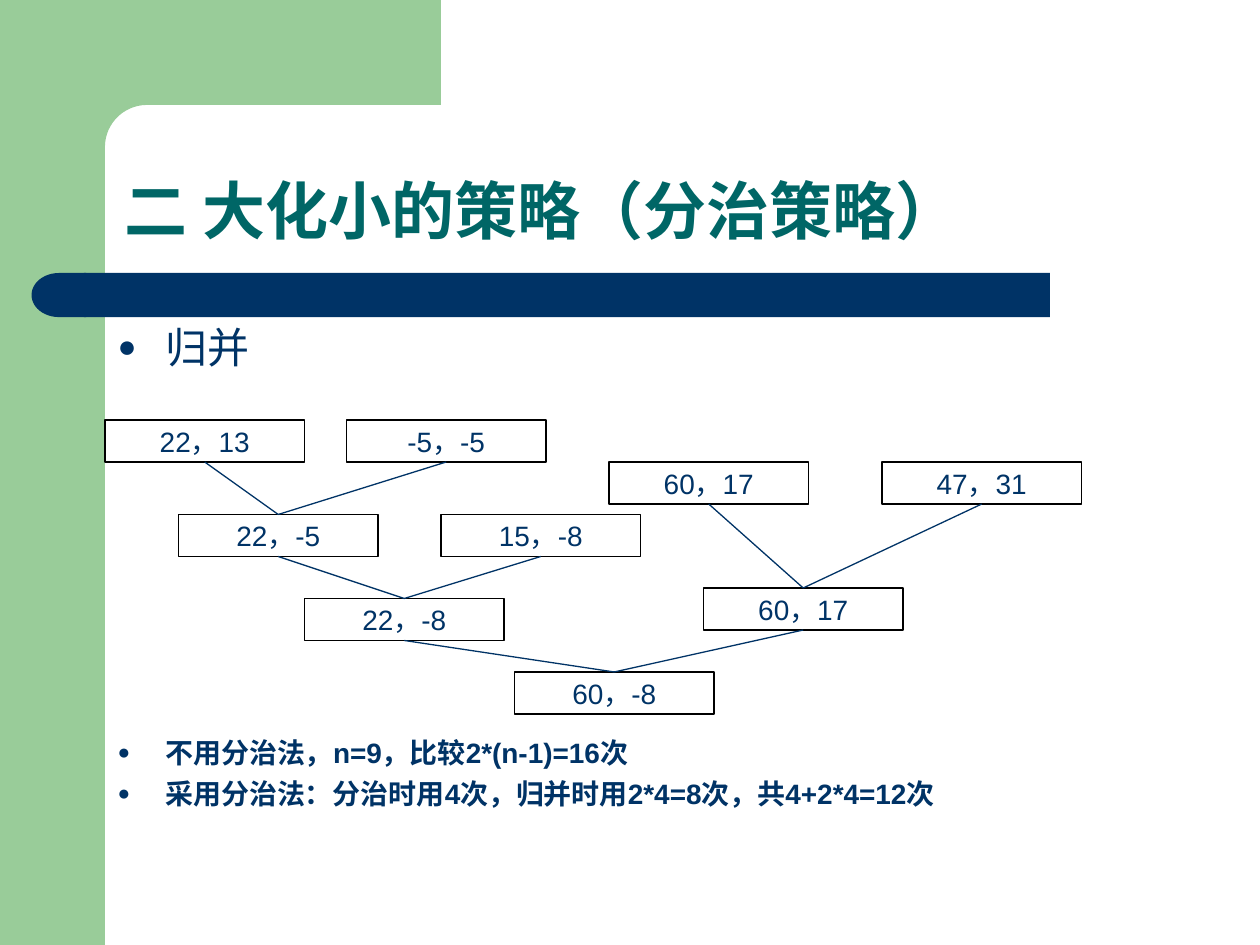
import dataclasses
import math
import typing

import lxml.etree
import pptx
import pptx.dml.color
import pptx.enum.shapes
import pptx.enum.text
import pptx.oxml.ns
import pptx.util

NAVY = pptx.dml.color.RGBColor(0x00, 0x33, 0x66)
TEAL = pptx.dml.color.RGBColor(0x00, 0x66, 0x66)
GREEN = pptx.dml.color.RGBColor(0x99, 0xCC, 0x99)
WHITE = pptx.dml.color.RGBColor(0xFF, 0xFF, 0xFF)
BLACK = pptx.dml.color.RGBColor(0x00, 0x00, 0x00)

COLUMNS, ROWS = 120, 90
CELL = pptx.util.Inches(10) // COLUMNS
NODE_WIDTH, NODE_HEIGHT = 19, 4
LINE_WIDTH = pptx.util.Pt(0.75)
KINDS = pptx.enum.shapes.MSO_SHAPE
ALIGN = pptx.enum.text.PP_ALIGN
ANCHOR = pptx.enum.text.MSO_ANCHOR


@dataclasses.dataclass(frozen=True)
class Area:
    column: float
    row: float
    columns: float
    rows: float

    def lengths(self) -> list[int]:
        return [grid(v) for v in (self.column, self.row, self.columns, self.rows)]


@dataclasses.dataclass(frozen=True)
class Node:
    label: str
    column: float
    row: float
    children: tuple["Node", ...] = ()

    def area(self) -> Area:
        return Area(self.column, self.row, NODE_WIDTH, NODE_HEIGHT)

    def middle(self) -> float:
        return self.column + NODE_WIDTH / 2


@dataclasses.dataclass(frozen=True)
class Bullet:
    text: str
    size: float
    bold: bool
    space_before: float


LEFT_HALF = Node("22，-8", 29, 57, (
    Node("22，-5", 17, 49, (Node("22，13", 10, 40), Node("-5，-5", 33, 40))),
    Node("15，-8", 42, 49),
))
RIGHT_HALF = Node("60，17", 67, 56, (Node("60，17", 58, 44), Node("47，31", 84, 44)))
MERGE_TREE = Node("60，-8", 49, 64, (LEFT_HALF, RIGHT_HALF))

BULLETS = (
    Bullet("归并", 24, False, 0),
    Bullet("不用分治法，n=9，比较2*(n-1)=16次", 16, True, 208),
    Bullet("采用分治法：分治时用4次，归并时用2*4=8次，共4+2*4=12次", 16, True, 4),
)


def grid(cells: float) -> int:
    return round(cells * CELL)


def apply(target: typing.Any, values: dict[str, typing.Any]) -> None:
    for name, value in values.items():
        setattr(target, name, value)


def add_text(para, text: str, size: float, color, bold: bool = False) -> None:
    span = para.add_run()
    span.text = text
    apply(span.font, {"name": "Arial", "size": pptx.util.Pt(size), "bold": bold})
    span.font.color.rgb = color


def paint(shape, color) -> None:
    shape.shadow.inherit = False
    shape.fill.solid()
    shape.fill.fore_color.rgb = color
    shape.line.fill.background()


def add_block(page, kind, area: Area, color):
    block = page.shapes.add_shape(kind, *area.lengths())
    paint(block, color)
    return block


def add_corner(page) -> None:
    center, radius = 14, 4
    arc = [
        (center - radius * math.sin(math.radians(angle)),
         center - radius * math.cos(math.radians(angle)))
        for angle in range(0, 91, 6)
    ]
    outline = [(42, 10), *arc, (10, 15.4), (6, 15.4), (6, 0)]
    builder = page.shapes.build_freeform(grid(42), 0)
    builder.add_line_segments([(grid(x), grid(y)) for x, y in outline], close=True)
    paint(builder.convert_to_shape(), GREEN)


def add_background(page) -> None:
    add_block(page, KINDS.RECTANGLE, Area(0, 0, 10, ROWS), GREEN)
    add_corner(page)
    add_block(page, KINDS.RECTANGLE, Area(8, 26, 92, 4.2), NAVY)
    add_block(page, KINDS.FLOWCHART_DELAY, Area(3, 26, 5.2, 4.2), NAVY).rotation = 180


def place(page, holder, area: Area, anchor):
    page.shapes.element.append(holder.element)
    apply(holder, dict(zip(("left", "top", "width", "height"), area.lengths())))
    apply(holder.text_frame, {
        "auto_size": pptx.enum.text.MSO_AUTO_SIZE.NONE,
        "word_wrap": True,
        "vertical_anchor": anchor,
    })
    return holder.text_frame


def add_title(page) -> None:
    frame = place(page, page.shapes.title, Area(10.7, 10.7, 102.5, 13.5), ANCHOR.BOTTOM)
    para = frame.paragraphs[0]
    apply(para, {"alignment": ALIGN.LEFT, "line_spacing": 0.9})
    add_text(para, "二 大化小的策略（分治策略）", 36, TEAL, True)


def set_bullet(para) -> None:
    properties = para._p.get_or_add_pPr()
    indent = pptx.util.Inches(0.38)
    properties.set("marL", str(indent))
    properties.set("indent", str(-indent))
    name = pptx.oxml.ns.qn
    color = lxml.etree.SubElement(properties, name("a:buClr"))
    lxml.etree.SubElement(color, name("a:srgbClr"), val=str(NAVY))
    lxml.etree.SubElement(properties, name("a:buSzPct"), val="75000")
    lxml.etree.SubElement(properties, name("a:buChar"), char="●")


def add_list(page) -> None:
    frame = place(page, page.placeholders[1], Area(10, 30, 101, 48.8), ANCHOR.TOP)
    for index, bullet in enumerate(BULLETS):
        para = frame.add_paragraph() if index else frame.paragraphs[0]
        set_bullet(para)
        para.space_before = pptx.util.Pt(bullet.space_before)
        add_text(para, bullet.text, bullet.size, NAVY, bullet.bold)


def walk(node: Node) -> typing.Iterator[Node]:
    yield node
    for child in node.children:
        yield from walk(child)


def add_node(page, node: Node) -> None:
    box = add_block(page, KINDS.RECTANGLE, node.area(), WHITE)
    box.line.color.rgb = BLACK
    box.line.width = LINE_WIDTH
    apply(box.text_frame, {"word_wrap": False, "vertical_anchor": ANCHOR.MIDDLE})
    para = box.text_frame.paragraphs[0]
    para.alignment = ALIGN.CENTER
    add_text(para, node.label, 16, NAVY)


def add_link(page, parent: Node, child: Node) -> None:
    ends = (parent.middle(), parent.row, child.middle(), child.row + NODE_HEIGHT)
    link = page.shapes.add_connector(
        pptx.enum.shapes.MSO_CONNECTOR.STRAIGHT, *map(grid, ends))
    link.line.color.rgb = NAVY
    link.line.width = LINE_WIDTH
    lxml.etree.SubElement(link.element.spPr, pptx.oxml.ns.qn("a:effectLst"))


def main() -> None:
    deck = pptx.Presentation()
    apply(deck, {"slide_width": grid(COLUMNS), "slide_height": grid(ROWS)})
    page = deck.slides.add_slide(deck.slide_layouts[1])
    add_background(page)
    add_title(page)
    add_list(page)
    for node in walk(MERGE_TREE):
        add_node(page, node)
    for node in walk(MERGE_TREE):
        for child in node.children:
            add_link(page, node, child)
    deck.save("out.pptx")


if __name__ == "__main__":
    main()
